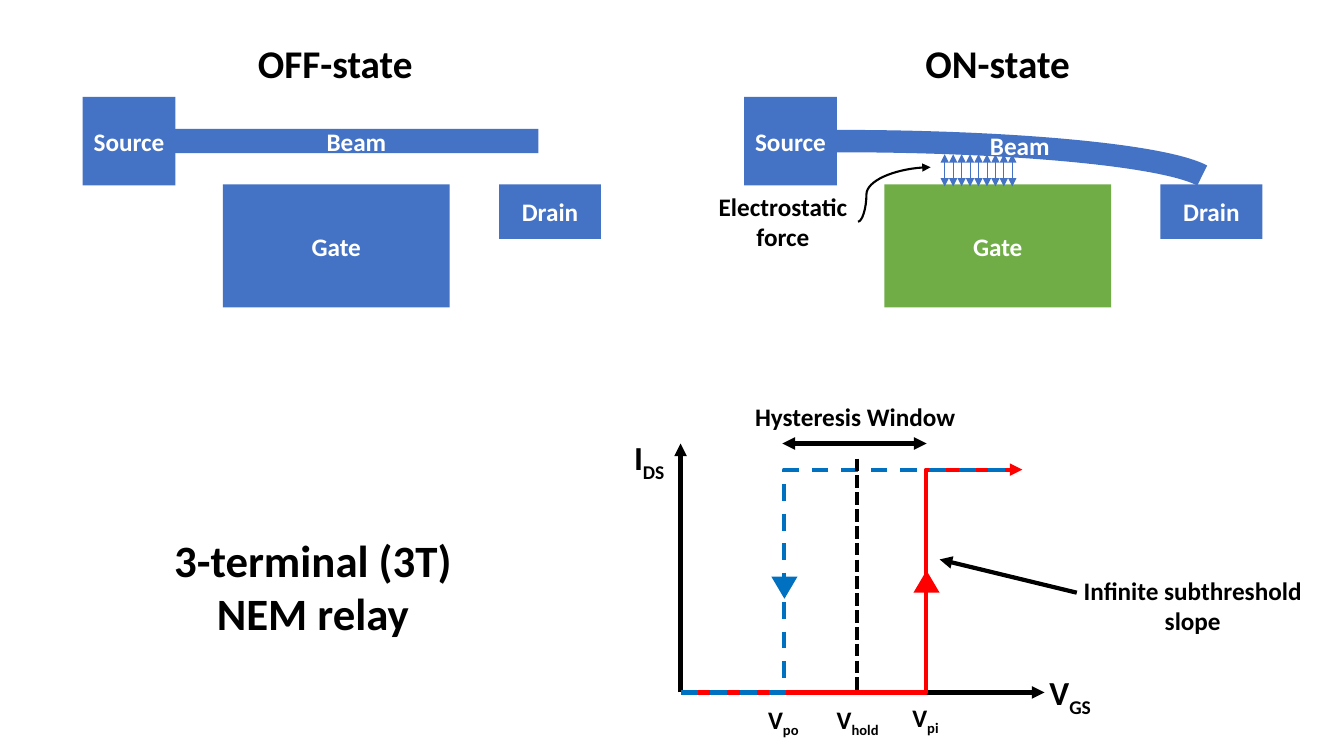
"""Build the slide on the 3-terminal NEM relay: its two states and its hysteresis curve."""
from lxml import etree
from pptx import Presentation
from pptx.dml.color import RGBColor
from pptx.enum.dml import MSO_LINE
from pptx.enum.shapes import MSO_CONNECTOR, MSO_SHAPE
from pptx.enum.text import MSO_ANCHOR, MSO_AUTO_SIZE, PP_ALIGN
from pptx.oxml.ns import qn
from pptx.util import Inches, Pt

BLACK = RGBColor(0x00, 0x00, 0x00)
WHITE = RGBColor(0xFF, 0xFF, 0xFF)
BLUE = RGBColor(0x44, 0x72, 0xC4)
GREEN = RGBColor(0x70, 0xAD, 0x47)
RED = RGBColor(0xFF, 0x00, 0x00)
SWEEP_BLUE = RGBColor(0x00, 0x70, 0xC0)

STRAIGHT, ELBOW, CURVE = MSO_CONNECTOR.STRAIGHT, MSO_CONNECTOR.ELBOW, MSO_CONNECTOR.CURVE


def write(tf, text, size=18, color=BLACK, align=PP_ALIGN.CENTER):
    """Fill a text frame; a newline starts a paragraph, an underscore a subscript."""
    for i, line in enumerate(text.split("\n")):
        p = tf.add_paragraph() if i else tf.paragraphs[0]
        p.alignment = align
        for j, part in enumerate(line.split("_")):
            r = p.add_run()
            r.text = part
            r.font.name = "Calibri"
            r.font.size = Pt(size)
            r.font.bold = True
            r.font.color.rgb = color
            if j:
                r._r.get_or_add_rPr().set("baseline", "-25000")


def connect(x1, y1, x2, y2, color=BLACK, width=3, kind=STRAIGHT, ends=("tailEnd",), dash=None, bend=None):
    """Draw a connector with arrowheads at the given ends."""
    c = s.shapes.add_connector(kind, Inches(x1), Inches(y1), Inches(x2), Inches(y2))
    c.line.color.rgb = color
    c.line.width = Pt(width)
    if dash:
        c.line.dash_style = dash
    ln = c.line._get_or_add_ln()
    for end in ends:
        etree.SubElement(ln, qn("a:" + end), type="triangle")
    etree.SubElement(c._element.spPr, qn("a:effectLst"))
    if bend:
        av = c._element.spPr.find(qn("a:prstGeom")).get_or_add_avLst()
        etree.SubElement(av, qn("a:gd"), name="adj1", fmla=f"val {round(bend * 100000)}")


prs = Presentation()
prs.slide_width, prs.slide_height = Inches(13.33), Inches(7.5)
s = prs.slides.add_slide(prs.slide_layouts[5])

title = s.shapes.title
title.left, title.top, title.width, title.height = Inches(1.2), Inches(5.23), Inches(3.81), Inches(1.18)
title.text_frame.word_wrap = True
title.text_frame.auto_size = MSO_AUTO_SIZE.NONE
title.text_frame.vertical_anchor = MSO_ANCHOR.TOP
write(title.text_frame, "3-terminal (3T) NEM relay", 32)

bent_beam = s.shapes.add_shape(MSO_SHAPE.ARC, Inches(4.63), Inches(1.4), Inches(7.38), Inches(0.87))
bent_beam.shadow.inherit = False
bent_beam.adjustments[0] = 158.721
bent_beam.adjustments[1] = 215.111
bent_beam.fill.background()
bent_beam.line.color.rgb = BLUE
bent_beam.line.width = Pt(16)

STATE_GAP = 6.56
parts = [("Beam", 1.73, 1.28, 3.61, 0.24, BLUE)]
for dx, gate_color in ((0, BLUE), (STATE_GAP, GREEN)):
    parts += [
        ("Source", 0.82 + dx, 0.96, 0.92, 0.88, BLUE),
        ("Drain", 4.95 + dx, 1.83, 1.01, 0.54, BLUE),
        ("Gate", 2.21 + dx, 1.83, 2.25, 1.22, gate_color),
    ]
for name, x, y, w, h, color in parts:
    sp = s.shapes.add_shape(MSO_SHAPE.RECTANGLE, Inches(x), Inches(y), Inches(w), Inches(h))
    sp.shadow.inherit = False
    sp.fill.solid()
    sp.fill.fore_color.rgb = color
    sp.line.fill.background()
    sp.text_frame.vertical_anchor = MSO_ANCHOR.MIDDLE
    write(sp.text_frame, name, color=WHITE)

for i in range(9):
    x = 9.37 + i * 0.67 / 8
    connect(x, 1.53, x, 1.85, BLUE, 0.5, ends=("headEnd", "tailEnd"))
connect(8.51, 2.2, 9.23, 1.66, width=1.5, kind=CURVE, bend=0.116)

X0, Y0, Y_ON = 6.75, 6.87, 4.66
connect(X0, Y0, X0, 4.4)
connect(X0, Y0, 10.36, Y0)
connect(X0, Y0, 10.14, Y_ON, RED, kind=ELBOW, bend=0.717)
connect(9.97, Y_ON, X0, Y0, SWEEP_BLUE, kind=ELBOW, ends=(), dash=MSO_LINE.DASH, bend=0.681)
connect(8.5, 4.55, 8.5, Y0, ends=(), dash=MSO_LINE.SQUARE_DOT)
connect(7.76, 4.4, 9.19, 4.4, ends=("headEnd", "tailEnd"))
connect(10.68, 5.88, 9.32, 5.55)

for x, y, color, angle in ((9.06, 5.66, RED, 0), (7.65, 5.72, SWEEP_BLUE, 180)):
    sp = s.shapes.add_shape(MSO_SHAPE.ISOSCELES_TRIANGLE, Inches(x), Inches(y), Inches(0.26), Inches(0.22))
    sp.shadow.inherit = False
    sp.rotation = angle
    sp.fill.solid()
    sp.fill.fore_color.rgb = color
    sp.line.fill.background()

LEFT, CENTER = PP_ALIGN.LEFT, PP_ALIGN.CENTER
labels = [
    ("OFF-state", 2.46, 0.34, 1.75, 0.57, 28, BLACK, LEFT, False),
    ("ON-state", 9.08, 0.34, 1.65, 0.57, 28, BLACK, LEFT, False),
    ("Beam", 9.72, 1.24, 0.8, 0.4, 18, WHITE, LEFT, False),
    ("Electrostatic\nforce", 7.02, 1.85, 1.49, 0.71, 18, BLACK, CENTER, False),
    ("V_po", 7.52, 6.94, 0.53, 0.4, 18, BLACK, LEFT, False),
    ("V_hold", 8.2, 6.94, 0.67, 0.4, 18, BLACK, LEFT, False),
    ("V_pi", 8.95, 6.92, 0.48, 0.4, 18, BLACK, LEFT, False),
    ("V_GS", 10.31, 6.62, 0.65, 0.5, 24, BLACK, LEFT, False),
    ("I_DS", 6.19, 4.29, 0.54, 0.5, 24, BLACK, LEFT, False),
    ("Hysteresis Window", 7.39, 3.93, 2.2, 0.4, 18, BLACK, LEFT, False),
    ("Infinite subthreshold slope", 10.6, 5.66, 2.46, 0.71, 18, BLACK, CENTER, True),
]
for text, x, y, w, h, size, color, align, wrap in labels:
    tf = s.shapes.add_textbox(Inches(x), Inches(y), Inches(w), Inches(h)).text_frame
    tf.word_wrap = wrap
    tf.auto_size = MSO_AUTO_SIZE.SHAPE_TO_FIT_TEXT
    write(tf, text, size, color, align)

prs.save("out.pptx")
